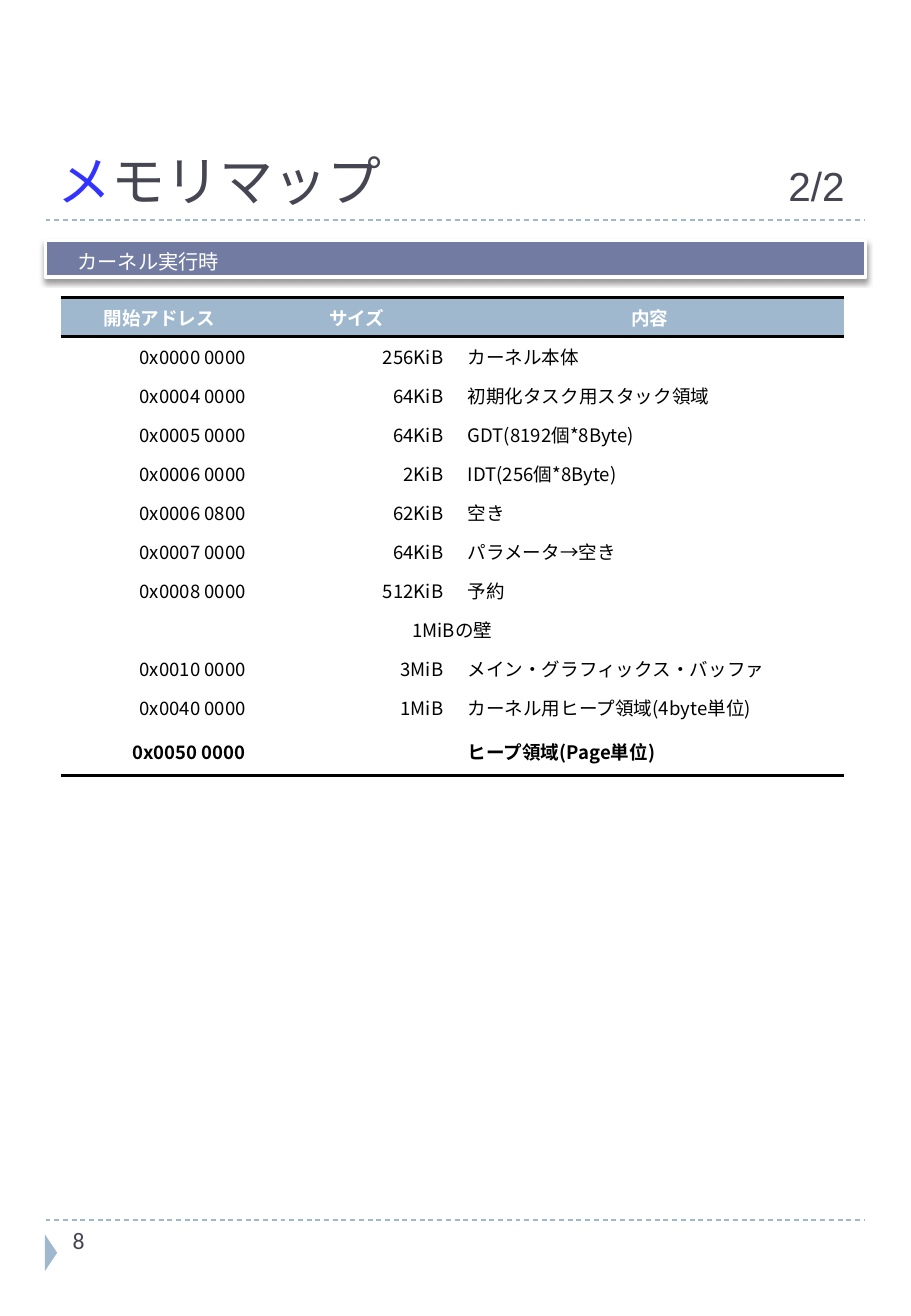
from lxml import etree
from pptx import Presentation
from pptx import util as u
from pptx.dml import color
from pptx.enum import dml, shapes, text
from pptx.oxml import ns

CJK = "Noto Sans CJK JP"
LEFT, CENTER, RIGHT = text.PP_ALIGN.LEFT, text.PP_ALIGN.CENTER, text.PP_ALIGN.RIGHT
MIDDLE, BOTTOM = text.MSO_ANCHOR.MIDDLE, text.MSO_ANCHOR.BOTTOM

HEADINGS = ("開始アドレス", "サイズ", "内容")
WALL = "1MiBの壁"
REGIONS = [
    ("0x0000 0000", "256KiB", "カーネル本体"),
    ("0x0004 0000", "64KiB", "初期化タスク用スタック領域"),
    ("0x0005 0000", "64KiB", "GDT(8192個*8Byte)"),
    ("0x0006 0000", "2KiB", "IDT(256個*8Byte)"),
    ("0x0006 0800", "62KiB", "空き"),
    ("0x0007 0000", "64KiB", "パラメータ→空き"),
    ("0x0008 0000", "512KiB", "予約"),
    (WALL,),
    ("0x0010 0000", "3MiB", "メイン・グラフィックス・バッファ"),
    ("0x0040 0000", "1MiB", "カーネル用ヒープ領域(4byte単位)"),
    ("0x0050 0000", "", "ヒープ領域(Page単位)"),
]


def paint(hex_code):
    return color.RGBColor.from_string(hex_code)


def add_xml(parent, tag, **attributes):
    return etree.SubElement(parent, ns.qn(tag), attributes)


class MemoryMapSlide:
    """Square grid: 60 columns across the slide, rows of the same size."""
    ink, accent, bar, initial = "464653", "9FB8CD", "727CA3", "3333FF"
    white, black = "FFFFFF", "000000"

    def __init__(self, deck):
        self.page = deck.slides.add_slide(deck.slide_layouts[6])
        self.unit = deck.slide_width / 60

    def grid(self, *cells):
        return [u.Emu(round(cell * self.unit)) for cell in cells]

    def fill_para(self, para, runs, align=LEFT, tab=None):
        """Each run is (words, size, font, colour, bold)."""
        para.alignment = align
        if tab:
            stops = add_xml(para._p.get_or_add_pPr(), "a:tabLst")
            add_xml(stops, "a:tab", pos=str(self.grid(tab)[0]), algn="r")
        for words, size, font, shade, bold in runs:
            span = para.add_run()
            span.text = words
            for name, value in {"size": u.Pt(size), "name": font, "bold": bold}.items():
                setattr(span.font, name, value)
            span.font.color.rgb = paint(shade)
            add_xml(span.font._element, "a:ea", typeface=CJK)
        add_xml(para._p, "a:endParaRPr", sz=str(runs[-1][1] * 100))

    def text_box(self, place, runs, tab=None, anchor=text.MSO_ANCHOR.TOP):
        frame = self.page.shapes.add_textbox(*self.grid(*place)).text_frame
        frame.word_wrap, frame.vertical_anchor = True, anchor
        self.fill_para(frame.paragraphs[0], runs, tab=tab)

    def dashed_rule(self, row):
        rule = self.page.shapes.add_connector(
            shapes.MSO_CONNECTOR.STRAIGHT, *self.grid(3, row, 57, row))
        rule.line.color.rgb = paint(self.accent)
        rule.line.width = u.Pt(0.75)
        rule.line.dash_style = dml.MSO_LINE.DASH
        add_xml(rule._element.spPr, "a:effectLst")

    def shape(self, kind, place, fill):
        shape = self.page.shapes.add_shape(kind, *self.grid(*place))
        shape.fill.solid()
        shape.fill.fore_color.rgb = paint(fill)
        shape.line.fill.background()
        shape.shadow.inherit = False
        return shape

    def marker(self, place):
        self.shape(shapes.MSO_SHAPE.ISOSCELES_TRIANGLE, place, self.accent).rotation = 90

    def banner(self, place, words):
        box = self.shape(shapes.MSO_SHAPE.RECTANGLE, place, self.bar)
        box.line.color.rgb = paint(self.white)
        box.line.width = u.Pt(2)
        effects = box._element.spPr.find(ns.qn("a:effectLst"))
        shadow = add_xml(effects, "a:outerShdw", blurRad=str(u.Pt(3)), dist=str(u.Pt(2)),
                         dir="5400000", algn="t", rotWithShape="0")
        add_xml(add_xml(shadow, "a:srgbClr", val=self.black), "a:alpha", val="40000")
        left, top, bottom = self.grid(2.1, 0, 0.24)
        layout = {"margin_left": left, "margin_top": top, "margin_bottom": bottom,
                  "vertical_anchor": BOTTOM, "word_wrap": True}
        for name, value in layout.items():
            setattr(box.text_frame, name, value)
        self.fill_para(box.text_frame.paragraphs[0], [(words, 12, CJK, self.white, False)])

    def cell(self, cell, words, align, shade, fill, bold, edges):
        cell.vertical_anchor = MIDDLE
        for edge in edges:
            line = add_xml(cell._tc.get_or_add_tcPr(), "a:ln" + edge, w=str(u.Pt(2)))
            add_xml(add_xml(line, "a:solidFill"), "a:srgbClr", val=self.black)
        cell.fill.solid()
        cell.fill.fore_color.rgb = paint(fill)
        self.fill_para(cell.text_frame.paragraphs[0], [(words, 11, CJK, shade, bold)], align)

    def table(self, left, top, widths, row_height, headings, regions):
        rows = [headings, *regions]
        last = len(rows) - 1
        table = self.page.shapes.add_table(
            len(rows), len(widths),
            *self.grid(left, top, sum(widths), row_height * len(rows))).table
        # Plain style without a grid
        style = table._tbl.tblPr.find(ns.qn("a:tableStyleId"))
        style.text = "{2D5ABB26-0587-4C30-8999-92F81FD0307C}"
        table.first_row = table.horz_banding = False
        for column, width in zip(table.columns, self.grid(*widths)):
            column.width = width
        for index, words in enumerate(rows):
            table.rows[index].height = self.grid(row_height)[0]
            heading, spanning = index == 0, len(words) == 1
            if spanning:
                table.cell(index, 0).merge(table.cell(index, len(widths) - 1))
            aligns = [CENTER] * 3 if heading or spanning else [RIGHT, RIGHT, LEFT]
            shade, fill = (self.white, self.accent) if heading else (self.black, self.white)
            edges = "TB" if heading else "B" if index == last else ""
            for column, (word, align) in enumerate(zip(words, aligns)):
                self.cell(table.cell(index, column), word, align, shade, fill,
                          index in (0, last), edges)


def main():
    deck = Presentation()
    deck.slide_width, deck.slide_height = u.Inches(7.5), u.Inches(10.83)
    slide = MemoryMapSlide(deck)

    # Footer and title rules
    for row in (80.32, 14.48):
        slide.dashed_rule(row)
    slide.marker((2.16, 82.08, 2.4, 0.8))

    # Title with page count at the right tab
    slide.text_box((3, 1.92, 54, 12.48), [
        ("メ", 32, "Arial", slide.initial, False),
        ("モリマップ\t", 32, "Arial", slide.ink, False),
        ("2/2", 24, "Arial", slide.ink, False),
    ], tab=51.84, anchor=BOTTOM)

    # Slide number
    slide.text_box((4, 80.32, 13, 4.64), [("8", 14, "Calibri", slide.ink, False)])

    # Section banner and memory map
    slide.banner((3, 15.84, 54, 2.4), "カーネル実行時")
    slide.table(4, 19.6, (13, 13, 25.6), 2.57, HEADINGS, REGIONS)

    deck.save("out.pptx")


if __name__ == "__main__":
    main()
